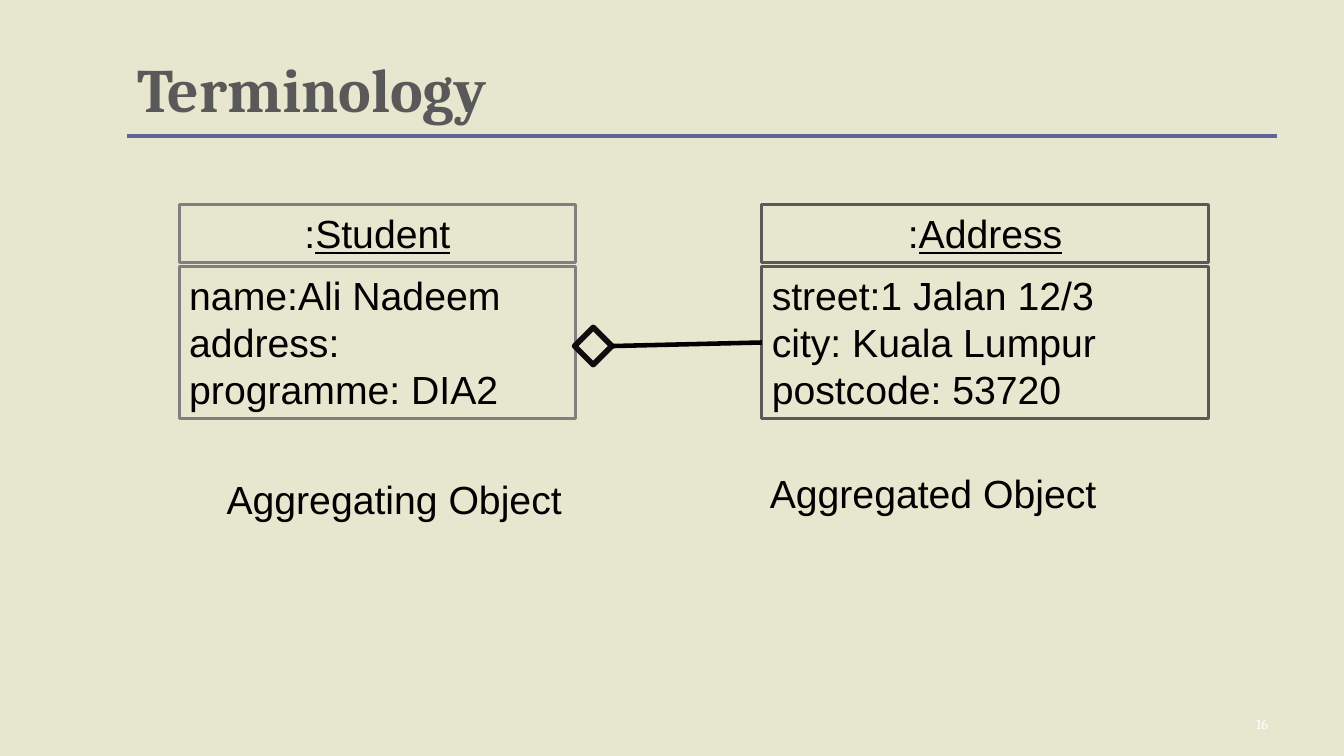
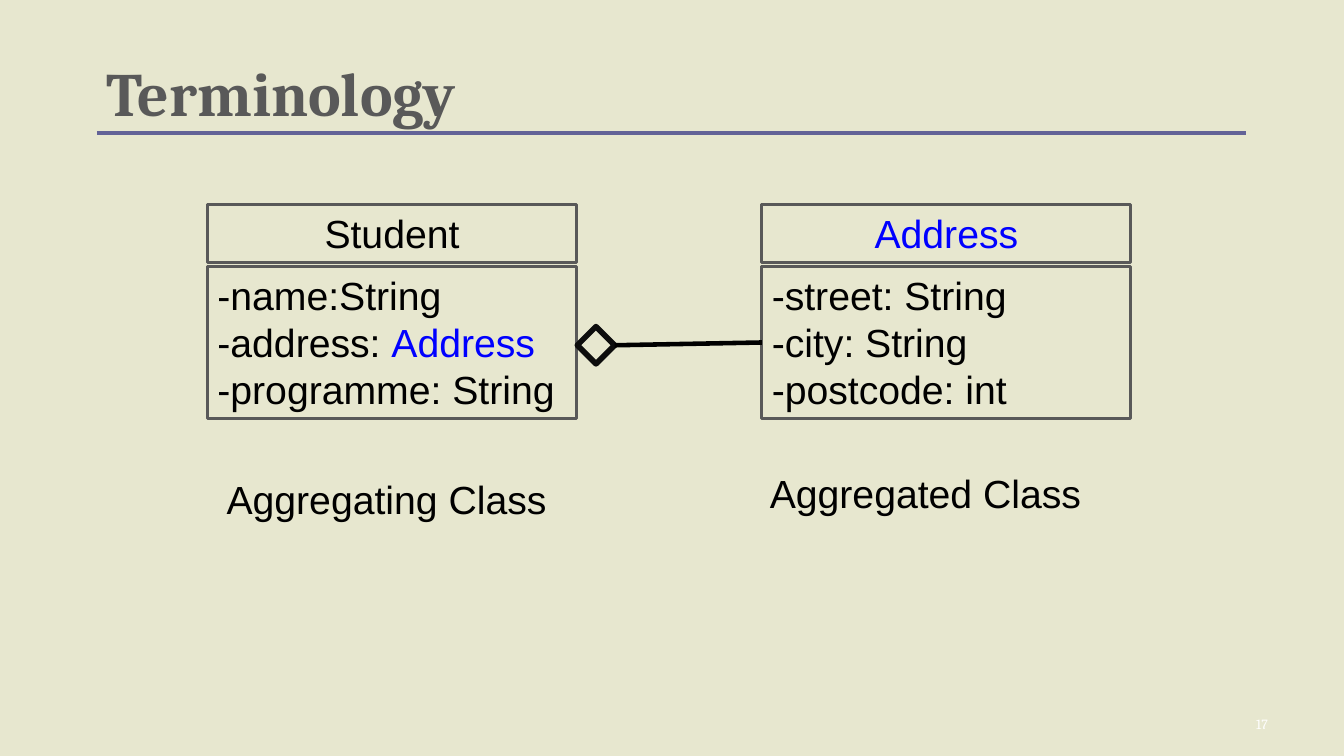
from dataclasses import dataclass

from lxml.etree import SubElement
from pptx import Presentation
from pptx.dml.color import RGBColor
from pptx.enum.shapes import MSO_CONNECTOR as Connector, MSO_SHAPE as Shape
from pptx.enum.text import MSO_ANCHOR as Anchor, PP_ALIGN as Align
from pptx.oxml.ns import qn
from pptx.util import Cm, Pt


@dataclass(frozen=True)
class Theme:
    paper: RGBColor = RGBColor(0xE7, 0xE7, 0xCF)
    heading: RGBColor = RGBColor(0x59, 0x59, 0x59)
    muted: RGBColor = RGBColor(0x80, 0x80, 0x80)
    rule: RGBColor = RGBColor(0x63, 0x63, 0x97)
    ink: RGBColor = RGBColor(0, 0, 0)
    diamond: RGBColor = RGBColor(0x0D, 0x0D, 0x0D)
    link: RGBColor = RGBColor(0, 0, 0xFF)
    page: RGBColor = RGBColor(0xFF, 0xFF, 0xFF)
    heading_face: str = "Cambria"
    body_face: str = "Arial"
    title_size: int = 44
    body_size: int = 28
    page_size: int = 10


THEME = Theme()


@dataclass(frozen=True)
class Span:
    text: str
    color: RGBColor = THEME.ink
    underline: bool = False


class Deck:
    def __init__(self, theme):
        self.theme = theme
        self.prs = Presentation()
        self.prs.slide_width, self.prs.slide_height = Cm(33.87), Cm(19.05)
        backdrop = self.prs.slide_master.background.fill
        backdrop.solid()
        backdrop.fore_color.rgb = theme.paper
        self.slide = None

    def start_slide(self, title, left, top, rule_y, number):
        self.slide = self.prs.slides.add_slide(self.prs.slide_layouts[5])
        heading = self.slide.shapes.title
        heading.left, heading.top = Cm(left), Cm(top)
        heading.width, heading.height = Cm(22.66), Cm(2.03)
        frame = heading.text_frame
        frame.vertical_anchor = Anchor.BOTTOM
        self.fill_text(frame, [title], self.theme.title_size,
                       self.theme.heading, self.theme.heading_face,
                       bold=True, spacing=0.8)
        rule = self.line(self.slide.shapes, self.theme.rule, 2.5)
        rule.begin_x, rule.end_x = Cm(left), Cm(left + 28.97)
        rule.begin_y = rule.end_y = Cm(rule_y)
        self.text(str(number), 30.2, 17.9, 2, 0.8, self.theme.page_size,
                  self.theme.page, self.theme.heading_face, Align.RIGHT)

    def fill_text(self, frame, lines, size, color, face, align=Align.LEFT,
                  bold=False, spacing=1.0):
        frame.word_wrap = True
        for index, line in enumerate(lines):
            paragraph = frame.add_paragraph() if index else frame.paragraphs[0]
            paragraph.alignment = align
            paragraph.line_spacing = spacing
            font = paragraph.font
            font.name, font.size, font.bold = face, Pt(size), bold
            font.color.rgb = color
            for span in [line] if isinstance(line, str) else line:
                run = paragraph.add_run()
                if isinstance(span, str):
                    run.text = span
                else:
                    run.text = span.text
                    run.font.color.rgb = span.color
                    run.font.underline = span.underline

    def text(self, words, left, top, width, height, size, color, face,
             align=Align.LEFT):
        box = self.slide.shapes.add_textbox(
            Cm(left), Cm(top), Cm(width), Cm(height))
        self.fill_text(box.text_frame, [words], size, color, face, align)

    def caption(self, words, left, top):
        self.text(words, left, top, 9.25, 1.45, self.theme.body_size,
                  self.theme.ink, self.theme.body_face)

    def outline(self, shapes, kind, left, top, width, height, color, weight):
        shape = shapes.add_shape(kind, Cm(left), Cm(top), Cm(width), Cm(height))
        shape.shadow.inherit = False
        shape.fill.background()
        shape.line.color.rgb, shape.line.width = color, Pt(weight)
        return shape

    def line(self, shapes, color, weight):
        line = shapes.add_connector(Connector.STRAIGHT, 0, 0, 0, 0)
        line.line.color.rgb, line.line.width = color, Pt(weight)
        SubElement(line.element.spPr, qn("a:effectLst"))
        return line

    def uml_box(self, header, members, left, width, color):
        shapes = self.slide.shapes.add_group_shape().shapes
        for lines, top, height, align in (
                ([header], 5.16, 1.45, Align.CENTER),
                (members, 6.71, 3.84, Align.LEFT)):
            part = self.outline(shapes, Shape.RECTANGLE, left, top, width,
                                height, color, 2.25)
            part.text_frame.vertical_anchor = Anchor.TOP
            self.fill_text(part.text_frame, lines, self.theme.body_size,
                           self.theme.ink, self.theme.body_face, align)
        return part

    def aggregation(self, left, top, part_box):
        shapes = self.slide.shapes.add_group_shape().shapes
        diamond = self.outline(shapes, Shape.DIAMOND, left, top, 0.94, 0.94,
                               self.theme.diamond, 4)
        link = self.line(shapes, self.theme.ink, 3.25)
        link.begin_connect(diamond, 3)
        link.end_connect(part_box, 1)


def main():
    deck = Deck(THEME)

    deck.start_slide("Terminology", 3.2, 1.24, 3.43, 16)
    deck.uml_box([":", Span("Student", underline=True)],
                 ["name:Ali Nadeem", "address:", "programme: DIA2"],
                 4.52, 9.98, THEME.muted)
    address = deck.uml_box(
        [":", Span("Address", underline=True)],
        ["street:1 Jalan 12/3", "city: Kuala Lumpur", "postcode: 53720"],
        19.2, 11.25, THEME.heading)
    deck.caption("Aggregating Object", 5.46, 11.84)
    deck.caption("Aggregated Object", 19.15, 11.71)
    deck.aggregation(14.48, 8.25, address)

    deck.start_slide("Terminology", 2.44, 1.32, 3.35, 17)
    deck.uml_box("Student",
                 ["-name:String",
                  ["-address: ", Span("Address", THEME.link)],
                  "-programme: String"],
                 5.23, 9.3, THEME.heading)
    address = deck.uml_box(
        [Span("Address", THEME.link)],
        ["-street: String", "-city: String", "-postcode: int"],
        19.2, 9.3, THEME.heading)
    deck.caption("Aggregating Class", 5.46, 11.84)
    deck.caption("Aggregated Class", 19.15, 11.71)
    deck.aggregation(14.55, 8.23, address)

    deck.prs.save("out.pptx")


if __name__ == "__main__":
    main()
